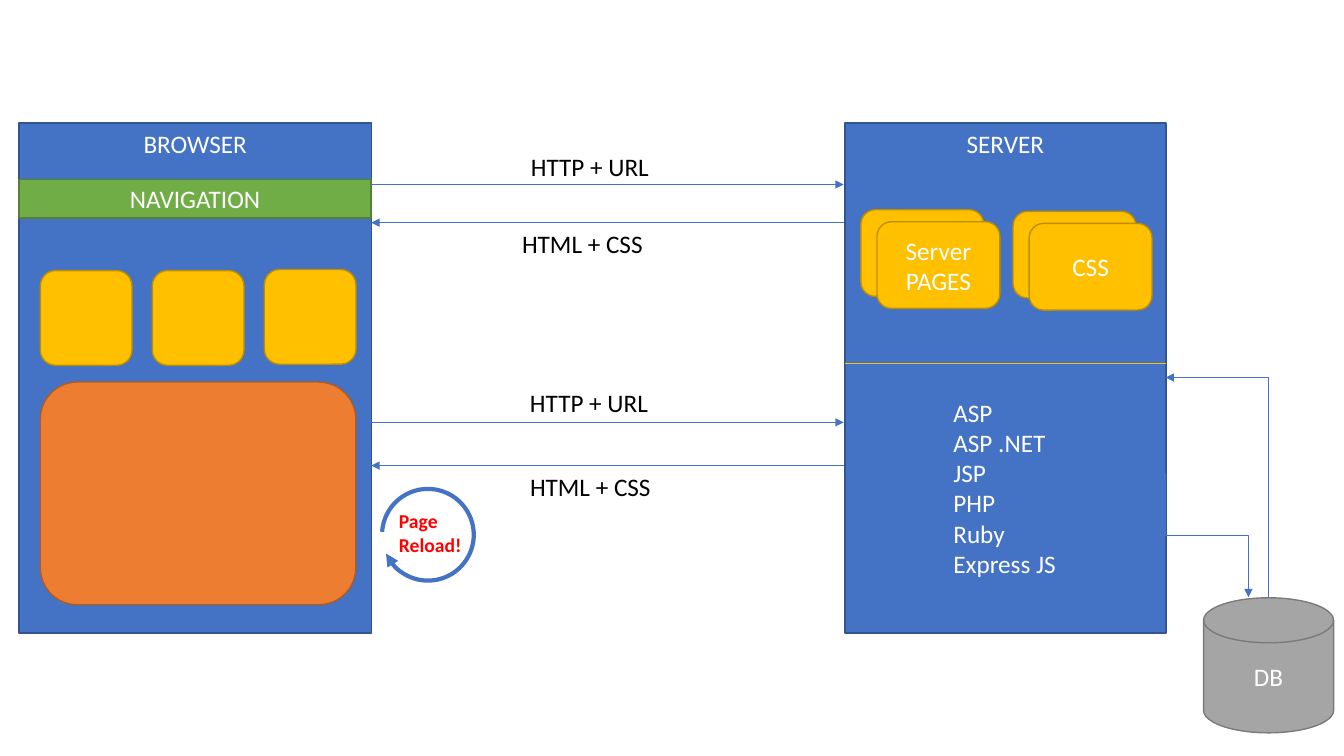
"""Build a slide of a multi-page web application: browser, server and database."""
from lxml.etree import SubElement
from pptx import Presentation
from pptx.dml.color import RGBColor
from pptx.enum.shapes import MSO_CONNECTOR, MSO_SHAPE
from pptx.enum.text import MSO_ANCHOR, MSO_AUTO_SIZE, PP_ALIGN
from pptx.oxml.ns import qn
from pptx.util import Pt

WHITE = RGBColor(0xFF, 0xFF, 0xFF)
BLACK = RGBColor(0, 0, 0)
RED = RGBColor(0xFF, 0, 0)
BLUE = RGBColor(0x44, 0x72, 0xC4)
GOLD = RGBColor(0xFF, 0xC0, 0)
BLUE_BOX = (BLUE, RGBColor(0x32, 0x54, 0x91))
GOLD_BOX = (GOLD, RGBColor(0xBD, 0x8E, 0))
GREEN_BOX = (RGBColor(0x70, 0xAD, 0x47), RGBColor(0x53, 0x81, 0x35))
ORANGE_BOX = (RGBColor(0xED, 0x7D, 0x31), RGBColor(0xAF, 0x5C, 0x24))
GRAY_BOX = (RGBColor(0xA5, 0xA5, 0xA5), RGBColor(0x7A, 0x7A, 0x7A))

SERVER = (603.5, 88, 229.3, 364.3)
BROWSER = (13.5, 88, 252, 364.3)
NAVIGATION = (13.7, 128.2, 251.3, 27.4)
CONTENT = (28.8, 272.9, 225.4, 159.1)
DATABASE = (859.7, 427, 92.9, 96.5)
RELOAD = (272.9, 349.2, 65.5, 65.5)
STACKS = [("Server PAGES", 614.9, 149.8), ("CSS", 723.6, 151)]
CARD, CARD_SHIFT = (87.8, 61.9), (11.5, 8.6)
TILE, TILE_STEP, TILE_TOPS = (65.5, 67.7), 80, (193.3, 193.3, 192.5)
TECHNOLOGIES = ["ASP", "ASP .NET", "JSP", "PHP", "Ruby", "Express JS"]
REQUESTS = [(131.8, 372.2, 104.4), (301.7, 371.5, 272.9)]
RESPONSES = [(159.1, 365.8, 159.8, 110), (332.6, 371.5, 333.4, 106)]
LINK_LEFT, LINK_RIGHT = 265.2, 602.6
DIVIDER_Y = 259.9
QUERY = (906.5, 352.8, 817.9, 411.8)
RESULT = (774.7, 401.2, 964.1, 327.6)


def write(sp, lines, size, color, align, bold=False):
    """Put the lines into a shape and format them."""
    tf = sp.text_frame
    tf.text = "\n".join(lines)
    for p in tf.paragraphs:
        p.alignment = align
        for r in p.runs:
            r.font.name, r.font.size, r.font.bold = "Calibri", Pt(size), bold
            r.font.color.rgb = color
    return tf


def add_box(parent, kind, place, colors, text="", anchor=MSO_ANCHOR.MIDDLE):
    """Add a filled shape with centred text."""
    sp = parent.add_shape(kind, *map(Pt, place))
    sp.shadow.inherit = False
    fill, edge = colors
    sp.fill.solid()
    sp.fill.fore_color.rgb = fill
    sp.line.color.rgb = edge
    sp.line.width = Pt(1)
    if text:
        tf = write(sp, [text], 18, WHITE, PP_ALIGN.CENTER)
        tf.vertical_anchor = anchor


def add_label(parent, place, lines, size=18, color=BLACK, bold=False):
    """Add an unwrapped, left-aligned text box."""
    sp = parent.add_textbox(*map(Pt, place))
    tf = write(sp, lines, size, color, PP_ALIGN.LEFT, bold)
    tf.word_wrap = False
    tf.auto_size = MSO_AUTO_SIZE.SHAPE_TO_FIT_TEXT


def add_arrowhead(sp):
    """Put a triangle at the end of a line."""
    SubElement(sp.line._get_or_add_ln(), qn("a:tailEnd"), type="triangle")


def add_line(ends, color=BLUE, arrow=True, kind=MSO_CONNECTOR.STRAIGHT):
    """Add a thin connector between two points."""
    sp = shapes.add_connector(kind, *map(Pt, ends))
    sp.line.color.rgb = color
    sp.line.width = Pt(0.5)
    if arrow:
        add_arrowhead(sp)
    SubElement(sp._element.spPr, qn("a:effectLst"))
    return sp


def add_elbow(ends, preset):
    """Add a bent connector turned by three quarters."""
    sp_pr = add_line(ends, kind=MSO_CONNECTOR.ELBOW)._element.spPr
    sp_pr.find(qn("a:xfrm")).set("rot", "16200000")
    sp_pr.find(qn("a:prstGeom")).set("prst", preset)


prs = Presentation()
prs.slide_width, prs.slide_height = Pt(960), Pt(540)
s = prs.slides.add_slide(prs.slide_layouts[6])
shapes = s.shapes

add_box(shapes, MSO_SHAPE.RECTANGLE, SERVER, BLUE_BOX, "SERVER", MSO_ANCHOR.TOP)
add_elbow(QUERY, "bentConnector3")
add_elbow(RESULT, "bentConnector2")
add_box(shapes, MSO_SHAPE.FLOWCHART_MAGNETIC_DISK, DATABASE, GRAY_BOX, "DB")
for name, x, y in STACKS:
    stack = shapes.add_group_shape().shapes
    dx, dy = CARD_SHIFT
    add_box(stack, MSO_SHAPE.ROUNDED_RECTANGLE, (x, y, *CARD), GOLD_BOX)
    add_box(stack, MSO_SHAPE.ROUNDED_RECTANGLE, (x + dx, y + dy, *CARD), GOLD_BOX, name)
add_line((SERVER[0], DIVIDER_Y, SERVER[0] + SERVER[2], DIVIDER_Y), GOLD, False)
add_label(shapes, (673.9, 280, 88.6, 138.2), TECHNOLOGIES, color=WHITE)

add_box(shapes, MSO_SHAPE.RECTANGLE, BROWSER, BLUE_BOX, "BROWSER", MSO_ANCHOR.TOP)
add_box(shapes, MSO_SHAPE.RECTANGLE, NAVIGATION, GREEN_BOX, "NAVIGATION")
for i, top in enumerate(TILE_TOPS):
    place = (CONTENT[0] + i * TILE_STEP, top, *TILE)
    add_box(shapes, MSO_SHAPE.ROUNDED_RECTANGLE, place, GOLD_BOX)
add_box(shapes, MSO_SHAPE.ROUNDED_RECTANGLE, CONTENT, ORANGE_BOX)

for y, x, top in REQUESTS:
    add_line((LINK_LEFT, y, LINK_RIGHT, y))
    add_label(shapes, (x, top, 100, 29), ["HTTP + URL"])
for y, x, top, width in RESPONSES:
    add_line((LINK_RIGHT, y, LINK_LEFT, y))
    add_label(shapes, (x, top, width, 29), ["HTML + CSS "])

reload_group = shapes.add_group_shape().shapes
arc = reload_group.add_shape(MSO_SHAPE.ARC, *map(Pt, RELOAD))
arc.shadow.inherit = False
arc.adjustments[0], arc.adjustments[1] = 162, 145.33
arc.rotation = 273.6
arc.fill.background()
arc.line.color.rgb = BLUE
arc.line.width = Pt(3)
add_arrowhead(arc)
add_label(reload_group, (277.9, 360, 59.8, 41), ["Page", "Reload!"], 14, RED, True)

prs.save("out.pptx")
